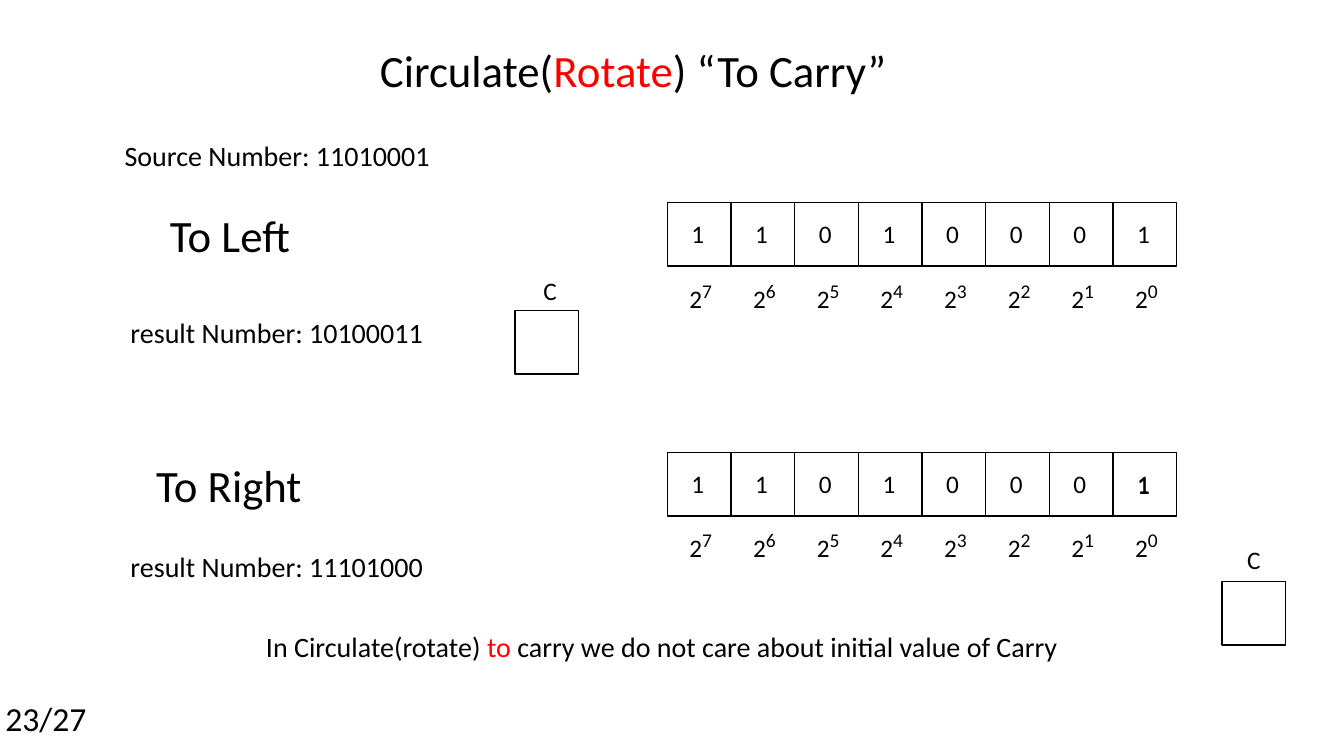
"""Build the slide on rotating a byte through the carry bit."""
import pptx
import pptx.dml.color
import pptx.enum.shapes
import pptx.enum.text
import pptx.util

Inches = pptx.util.Inches
Align = pptx.enum.text.PP_ALIGN
BLACK = pptx.dml.color.RGBColor(0, 0, 0)
RED = pptx.dml.color.RGBColor(255, 0, 0)
WHITE = pptx.dml.color.RGBColor(255, 255, 255)

SOURCE_BITS = "11010001"
CELL = 0.63
PITCH = 4.42 / 7
REGISTER_LEFT = 6.62


class RotateSlide:
    """Holds the style and the page and draws each kind of element."""

    font = "Calibri"

    def __init__(self, deck):
        """Add a title-only page to the deck."""
        self.page = deck.slides.add_slide(deck.slide_layouts[5])

    def fill_text(self, box, spans, size, align, wrap):
        """Fill a box with runs given as text and colour."""
        frame = box.text_frame
        frame.word_wrap = wrap
        frame.auto_size = pptx.enum.text.MSO_AUTO_SIZE.SHAPE_TO_FIT_TEXT
        frame.vertical_anchor = pptx.enum.text.MSO_ANCHOR.TOP
        para = frame.paragraphs[0]
        para.alignment = align
        for text, color in spans:
            span = para.add_run()
            span.text = text
            span.font.name = self.font
            span.font.size = pptx.util.Pt(size)
            span.font.color.rgb = color
        return para

    def title(self, left, top, width, height, spans):
        """Place and fill the title placeholder."""
        box = self.page.shapes.title
        box.left, box.top = Inches(left), Inches(top)
        box.width, box.height = Inches(width), Inches(height)
        self.fill_text(box, spans, 32, Align.CENTER, False)

    def text(self, left, top, width, height, spans, size=18, align=Align.CENTER, wrap=False):
        """Add a text box and return its paragraph."""
        box = self.page.shapes.add_textbox(Inches(left), Inches(top), Inches(width), Inches(height))
        return self.fill_text(box, spans, size, align, wrap)

    def cell(self, left, top):
        """Add one square bit cell."""
        square = self.page.shapes.add_shape(
            pptx.enum.shapes.MSO_SHAPE.RECTANGLE,
            Inches(left), Inches(top), Inches(CELL), Inches(CELL))
        square.shadow.inherit = False
        square.fill.solid()
        square.fill.fore_color.rgb = WHITE
        square.line.color.rgb = BLACK
        square.line.width = pptx.util.Pt(1)

    def digit(self, left, top, bit):
        """Add the value of one bit."""
        self.text(left, top, 0.35, 0.4, [(bit, BLACK)], align=Align.LEFT, wrap=True)

    def power(self, left, top, exponent):
        """Add a power of two with a raised exponent."""
        para = self.text(left, top, 0.44, 0.4, [("2", BLACK), (str(exponent), BLACK)], align=Align.LEFT)
        raised = para.runs[1]
        raised.font.size = pptx.util.Pt(24)
        raised._r.get_or_add_rPr().set("baseline", "30000")

    def register(self, top, power_top):
        """Draw the eight cells with their bits and place values."""
        for index, bit in enumerate(SOURCE_BITS):
            left = REGISTER_LEFT + index * PITCH
            self.cell(left, top)
            self.digit(left + 0.14, top + 0.11, bit)
            self.power(left + 0.12, power_top, 7 - index)

    def carry(self, left, top, label_left, label_top):
        """Draw the carry cell and its label."""
        self.cell(left, top)
        self.text(label_left, label_top, 0.34, 0.4, [("C", BLACK)], align=Align.LEFT)


def main():
    """Build and save the deck."""
    deck = pptx.Presentation()
    deck.slide_width, deck.slide_height = Inches(13.33), Inches(7.5)
    slide = RotateSlide(deck)

    slide.title(3.62, 0.37, 5.32, 0.64,
                [("Circulate(", BLACK), ("Rotate", RED), (") “To Carry” ", BLACK)])
    slide.text(1.12, 1.33, 3.26, 0.77, [("Source Number: " + SOURCE_BITS, BLACK)], 20)

    slide.text(1.57, 2.01, 1.42, 0.64, [("To Left", BLACK)], 32)
    slide.register(2.01, 2.68)
    slide.carry(5.11, 3.08, 5.29, 2.68)

    slide.text(1.44, 4.49, 1.66, 0.64, [("To Right", BLACK)], 32)
    slide.register(4.49, 5.15)
    slide.digit(11.18, 4.61, SOURCE_BITS[-1])
    slide.carry(12.12, 5.77, 12.27, 5.35)

    for top, result in ((3.08, "10100011"), (5.4, "11101000")):
        slide.text(1.02, top, 3.45, 0.77, [("result Number: " + result, BLACK)], 20, wrap=True)

    slide.text(1.99, 6.2, 9.15, 0.44,
               [("In Circulate(rotate) ", BLACK), ("to", RED),
                (" carry we do not care about initial value of Carry", BLACK)], 20, wrap=True)
    slide.text(-0.05, 6.87, 1.01, 0.5, [("23/27", BLACK)], 24)
    deck.save("out.pptx")


if __name__ == "__main__":
    main()
